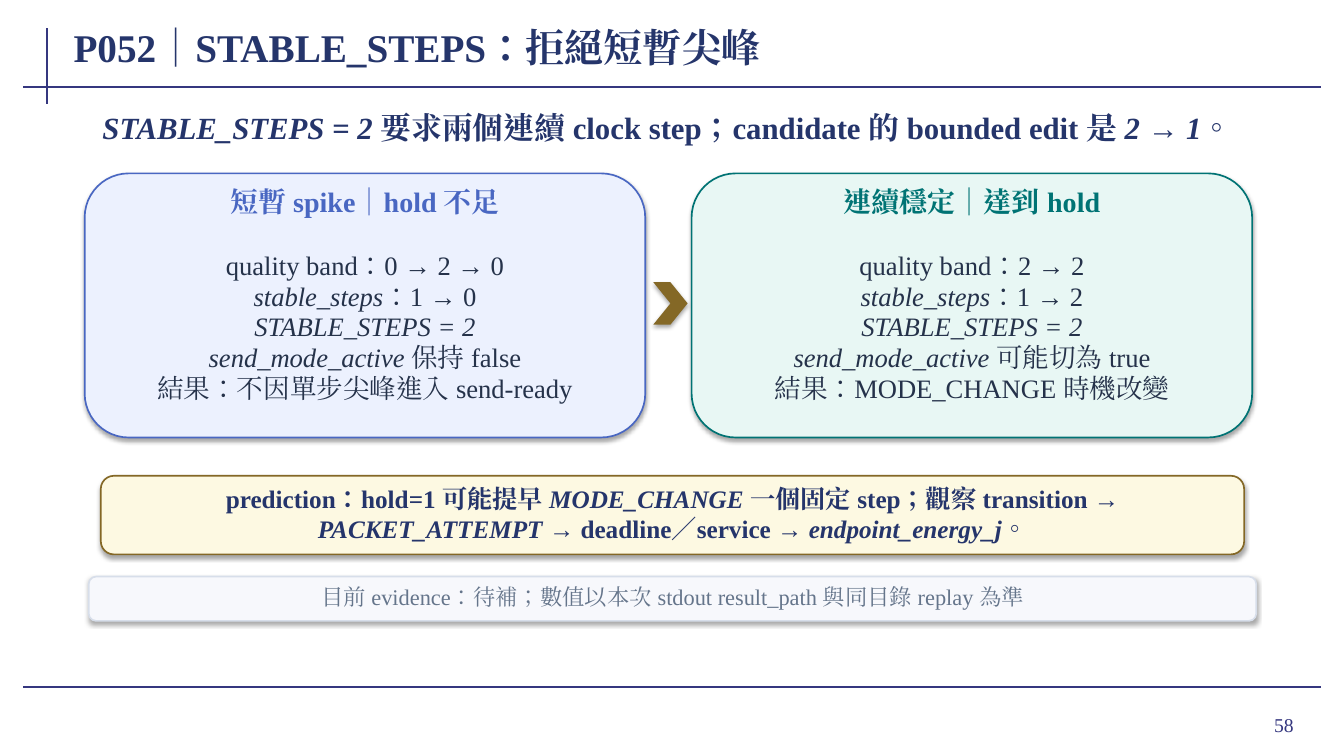
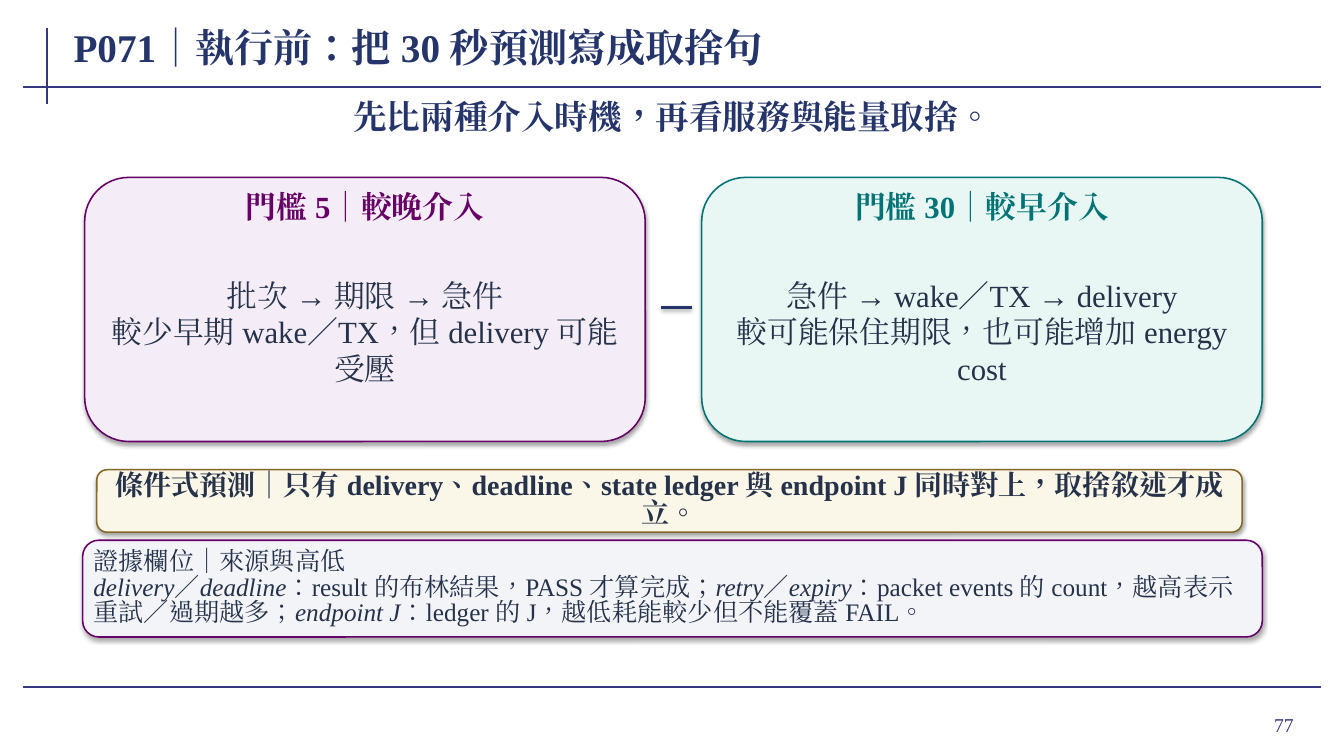
from lxml import etree
from pptx import Presentation
from pptx import util as u
from pptx.dml.color import RGBColor
from pptx.enum import shapes, text
from pptx.oxml.ns import qn

PX = 9144  # 100 px to the inch
FONT = "Times New Roman"

FRAME = RGBColor(0x35, 0x37, 0x7F)
NAVY = RGBColor(0x25, 0x35, 0x6B)
INK = RGBColor(0x25, 0x32, 0x4A)
SLATE = RGBColor(0x65, 0x75, 0x8B)
BLUE = RGBColor(0x49, 0x67, 0xC2)
TEAL = RGBColor(0x00, 0x73, 0x74)
PURPLE = RGBColor(0x66, 0x00, 0x66)
GOLD = RGBColor(0x84, 0x68, 0x26)
SILVER = RGBColor(0xD7, 0xDE, 0xEA)
BLUE_TINT = RGBColor(0xEC, 0xF1, 0xFE)
TEAL_TINT = RGBColor(0xE8, 0xF7, 0xF4)
PURPLE_TINT = RGBColor(0xF4, 0xED, 0xF7)
YELLOW_TINT = RGBColor(0xFD, 0xF9, 0xE2)
CREAM = RGBColor(0xFA, 0xF7, 0xE8)
PALE = RGBColor(0xF7, 0xF8, 0xFC)
GREY_TINT = RGBColor(0xF2, 0xF4, 0xF8)

LEFT, CENTER, RIGHT = (text.PP_ALIGN.LEFT, text.PP_ALIGN.CENTER,
                       text.PP_ALIGN.RIGHT)

# Boxes are (left, top, width, height); *asterisks* mark italic words.
FRAME_LINES = [(47, 28, 47, 103), (23, 86, 1310, 86), (23, 682, 1310, 682)]
TITLE_BOX = (72, 20, 1035, 53)
NUMBER_BOX = (1196, 693, 97, 52)
CARD_LEFT, CARD_WIDTH, CARD_HEIGHT = 84, 556, 262

SPIKE_SLIDE = dict(
    title="P052｜STABLE_STEPS：拒絕短暫尖峰",
    number="58",
    lead=dict(box=(94, 105, 1136, 42), size=22, lines=[
        "*STABLE_STEPS = 2* 要求兩個連續 clock step；"
        "candidate 的 bounded edit 是 *2 → 1*。"]),
    card_top=172, card_gap=46, outline=1.2,
    heading=dict(inset=(16, 12), height=36, size=20, spacing=0.92,
                 margins=(2, 0)),
    body=dict(inset=(18, 56), height=194, size=19, spacing=0.96,
              margins=(3, 2)),
    cards=[
        ("短暫 spike｜hold 不足", BLUE, BLUE_TINT, [
            "quality band：0 → 2 → 0",
            "*stable_steps*：1 → 0",
            "*STABLE_STEPS = 2*",
            "*send_mode_active* 保持 false",
            "結果：不因單步尖峰進入 send-ready"]),
        ("連續穩定｜達到 hold", TEAL, TEAL_TINT, [
            "quality band：2 → 2",
            "*stable_steps*：1 → 2",
            "*STABLE_STEPS = 2*",
            "*send_mode_active* 可能切為 true",
            "結果：MODE_CHANGE 時機改變"]),
    ],
    chevron=(648, 280, 34, 42),
    bands=[
        dict(box=(100, 472, 1134, 78), fill=YELLOW_TINT, line=GOLD,
             text_box=(118, 488, 1098, 42),
             style=dict(size=18, color=NAVY, bold=True),
             lines=["prediction：hold=1 可能提早 *MODE_CHANGE* 一個固定 step；"
                    "觀察 transition → *PACKET_ATTEMPT* → deadline／service → "
                    "*endpoint_energy_j*。"]),
        dict(box=(88, 572, 1158, 44), fill=PALE, line=SILVER,
             style=dict(size=16, color=SLATE, spacing=0.9, margins=(3, 1)),
             lines=["目前 evidence：待補；數值以本次 stdout result_path "
                    "與同目錄 replay 為準"]),
    ],
)

TRADEOFF_SLIDE = dict(
    title="P071｜執行前：把 30 秒預測寫成取捨句",
    number="77",
    lead=dict(box=(82, 93, 1170, 45), size=24,
              lines=["先比兩種介入時機，再看服務與能量取捨。"]),
    card_top=176, card_gap=56, outline=1.1,
    heading=dict(inset=(14, 8), height=42, size=22, margins=(8, 4)),
    body=dict(inset=(15, 54), height=198, size=22, margins=(8, 4)),
    cards=[
        ("門檻 5｜較晚介入", PURPLE, PURPLE_TINT, [
            "批次 → 期限 → 急件",
            "較少早期 wake／TX，但 delivery 可能受壓"]),
        ("門檻 30｜較早介入", TEAL, TEAL_TINT, [
            "急件 → wake／TX → delivery",
            "較可能保住期限，也可能增加 energy cost"]),
    ],
    dash=(656, 305, 686, 305),
    bands=[
        dict(box=(96, 466, 1136, 62), fill=CREAM, line=GOLD,
             style=dict(size=20, color=INK, bold=True, spacing=0.84,
                        margins=(8, 2)),
             lines=["條件式預測｜只有 delivery、deadline、state ledger 與 "
                    "endpoint J 同時對上，取捨敘述才成立。"]),
        dict(box=(82, 536, 1170, 96), fill=GREY_TINT, line=PURPLE,
             style=dict(size=18, color=INK, align=LEFT, spacing=0.84,
                        margins=(6, 2)),
             lines=["證據欄位｜來源與高低",
                    "*delivery*／*deadline*：result 的布林結果，PASS 才算完成；"
                    "*retry*／*expiry*：packet events 的 count，"
                    "越高表示重試／過期越多；"
                    "*endpoint J*：ledger 的 J，越低耗能較少但不能覆蓋 FAIL。"]),
    ],
)


def emu(lengths):
    return [length * PX for length in lengths]


def write(shape, lines, size, color, bold=False, align=CENTER, spacing=None,
          margins=(2, 0)):
    frame = shape.text_frame
    frame.word_wrap = True
    frame.auto_size = text.MSO_AUTO_SIZE.NONE
    frame.vertical_anchor = text.MSO_ANCHOR.MIDDLE
    frame.margin_left = frame.margin_right = margins[0] * PX
    frame.margin_top = frame.margin_bottom = margins[1] * PX
    for index, line in enumerate(lines):
        paragraph = frame.add_paragraph() if index else frame.paragraphs[0]
        paragraph.alignment = align
        if spacing:
            paragraph.line_spacing = spacing
        for position, part in enumerate(line.split("*")):
            if part:
                run = paragraph.add_run()
                run.text = part
                font = run.font
                font.name, font.size, font.bold = FONT, u.Pt(size), bold
                font.italic = position % 2 == 1
                font.color.rgb = color
                set_east_asian(run)


def set_east_asian(run):
    """Mark the run as Traditional Chinese, in the same typeface."""
    properties = run._r.get_or_add_rPr()
    properties.set("lang", "zh-TW")
    east_asian = etree.SubElement(properties, qn("a:ea"))
    east_asian.set("typeface", FONT)


def add_text(slide, box, lines, **style):
    write(slide.shapes.add_textbox(*emu(box)), lines, **style)


def add_panel(slide, kind, box, fill, line=None, width=0):
    """Draw a filled shape that keeps the soft shadow of the theme."""
    panel = slide.shapes.add_shape(kind, *emu(box))
    panel.fill.solid()
    panel.fill.fore_color.rgb = fill
    if line is None:
        panel.line.fill.background()
    else:
        panel.line.color.rgb = line
        panel.line.width = u.Pt(width)
    return panel


def add_line(slide, ends, color, width):
    line = slide.shapes.add_connector(shapes.MSO_CONNECTOR.STRAIGHT, *emu(ends))
    line.line.color.rgb = color
    line.line.width = u.Pt(width)
    return line


def place(shape, box):
    shape.left, shape.top, shape.width, shape.height = emu(box)


def set_up_layout(presentation, layout):
    """Put the title position and the frame lines on the layout."""
    place(layout.placeholders[0], TITLE_BOX)
    slide = presentation.slides[0]
    for ends in FRAME_LINES:
        line = add_line(slide, ends, FRAME, 1.5)
        etree.SubElement(line._element.spPr, qn("a:effectLst"))
        layout.shapes.element.append(line._element)


def add_cards(slide, content):
    for index, (heading, color, tint, lines) in enumerate(content["cards"]):
        left = CARD_LEFT + index * (CARD_WIDTH + content["card_gap"])
        top = content["card_top"]
        add_panel(slide, shapes.MSO_SHAPE.ROUNDED_RECTANGLE,
                  (left, top, CARD_WIDTH, CARD_HEIGHT), tint, color,
                  content["outline"])
        for part, part_lines, part_color in (("heading", [heading], color),
                                             ("body", lines, INK)):
            style = dict(content[part])
            across, down = style.pop("inset")
            box = (left + across, top + down, CARD_WIDTH - 2 * across,
                   style.pop("height"))
            add_text(slide, box, part_lines, color=part_color,
                     bold=part == "heading", **style)


def add_band(slide, band, outline):
    panel = add_panel(slide, shapes.MSO_SHAPE.ROUNDED_RECTANGLE, band["box"],
                      band["fill"], band["line"], outline)
    if "text_box" in band:
        add_text(slide, band["text_box"], band["lines"], **band["style"])
    else:
        write(panel, band["lines"], **band["style"])


def fill_slide(slide, content):
    write(slide.shapes.title, [content["title"]], 28, NAVY, bold=True,
          align=LEFT, margins=(1, 0))
    add_text(slide, NUMBER_BOX, [content["number"]], size=14, color=FRAME,
             align=RIGHT, margins=(10, 5))
    lead = content["lead"]
    add_text(slide, lead["box"], lead["lines"], size=lead["size"], color=NAVY,
             bold=True)
    add_cards(slide, content)
    if "chevron" in content:
        add_panel(slide, shapes.MSO_SHAPE.CHEVRON, content["chevron"], GOLD)
    if "dash" in content:
        add_line(slide, content["dash"], NAVY, 2)
    for band in content["bands"]:
        add_band(slide, band, content["outline"])


def main():
    presentation = Presentation()
    presentation.slide_width, presentation.slide_height = emu((1333, 750))
    layout = presentation.slide_layouts[5]
    contents = [SPIKE_SLIDE, TRADEOFF_SLIDE]
    slides = [presentation.slides.add_slide(layout) for _ in contents]
    set_up_layout(presentation, layout)
    for slide, content in zip(slides, contents):
        fill_slide(slide, content)
    presentation.save("out.pptx")


if __name__ == "__main__":
    main()
